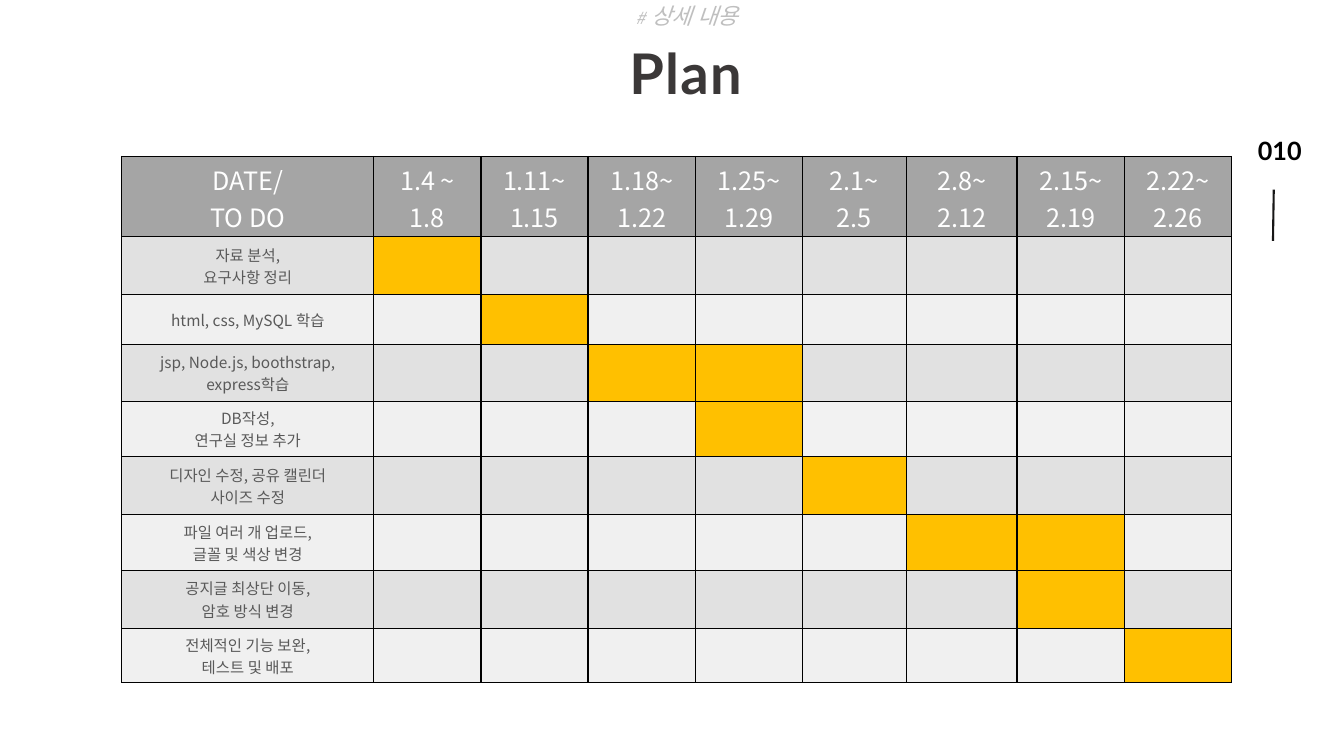
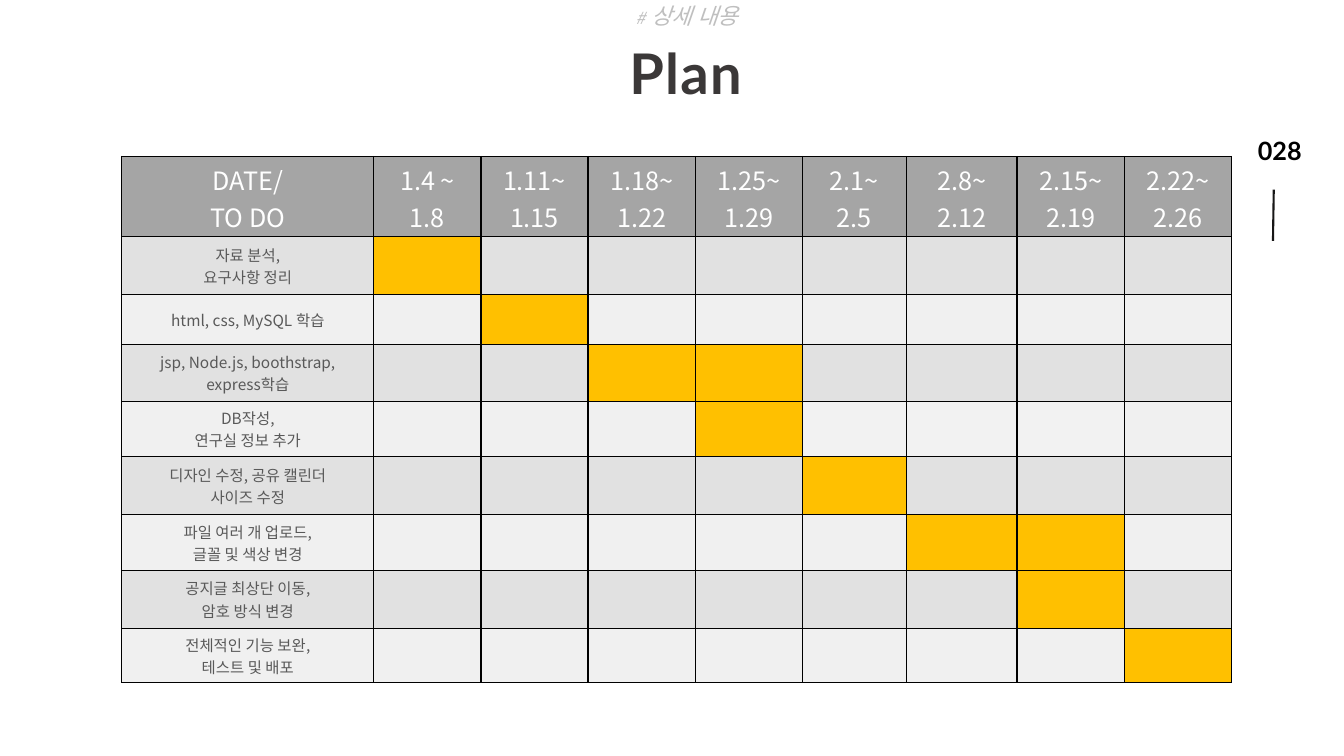
from dataclasses import dataclass

from lxml.etree import SubElement
from pptx import Presentation
from pptx.dml.color import RGBColor
from pptx.enum.shapes import MSO_CONNECTOR as Connector
from pptx.enum.text import MSO_ANCHOR as Anchor, MSO_AUTO_SIZE as AutoSize, PP_ALIGN as Align
from pptx.oxml import parse_xml
from pptx.oxml.ns import nsdecls, qn
from pptx.util import Cm, Pt


@dataclass(frozen=True)
class Theme:
    latin: str = "Lato"
    korean: str = "Noto Sans CJK KR"
    title: str = "3B3838"
    tag: str = "BFBFBF"
    ink: str = "000000"
    rule: str = "181717"
    header: str = "A5A5A5"
    header_text: str = "FFFFFF"
    task_text: str = "595959"
    bands: tuple = ("E1E1E1", "F0F0F0")
    soft: str = "F2F2F2"
    active: str = "FFC000"
    title_size: int = 40
    number_size: int = 18
    header_size: int = 18
    task_size: int = 11
    tag_sizes: tuple = (12, 20, 16)


THEME = Theme()
COLUMNS = [6.35] + [2.7] * 4 + [2.62, 2.79] + [2.7] * 2
ROWS = [2.03, 1.45, 1.27, 1.42, 1.4, 1.45, 1.42, 1.45, 1.37]
HEADERS = [["DATE/", "TO DO"], ["1.4 ~ 1.8"], ["1.11~", "1.15"], ["1.18~", "1.22"],
           ["1.25~", "1.29"], ["2.1~", "2.5"], ["2.8~", "2.12"], ["2.15~", "2.19"],
           ["2.22~", "2.26"]]
# Each task: its lines and the week columns in which it runs
TASKS = [
    (["자료 분석,", "요구사항 정리"], {1}),
    (["html, css, MySQL 학습"], {2}),
    (["jsp, Node.js, boothstrap, express학습"], {3, 4}),
    (["DB작성,", "연구실 정보 추가"], {4}),
    (["디자인 수정, 공유 캘린더", "사이즈 수정"], {5}),
    (["파일 여러 개 업로드,", "글꼴 및 색상 변경"], {6, 7}),
    (["공지글 최상단 이동,", "암호 방식 변경"], {7}),
    (["전체적인 기능 보완,", "테스트 및 배포"], {8}),
]
SOFT_CELLS = {(4, 5), (4, 6), (4, 7)}


def apply(target, formats):
    for name, value in formats.items():
        setattr(target, name, value)


def add_run(paragraph, text, face, size, color, **formats):
    run = paragraph.add_run()
    run.text = text
    apply(run.font, {"name": face, "size": Pt(size), **formats})
    run.font.color.rgb = RGBColor.from_string(color)
    properties = run._r.get_or_add_rPr()
    SubElement(properties, qn("a:ea")).set("typeface", face)
    return properties


def add_text_box(slide, left, top, width, height, **frame_formats):
    box = slide.shapes.add_textbox(Cm(left), Cm(top), Cm(width), Cm(height))
    apply(box.text_frame, {"word_wrap": True, **frame_formats})
    return box.text_frame.paragraphs[0]


def add_page_mark(slide, number):
    paragraph = add_text_box(slide, 31.45, 3.28, 1.63, 1.02,
                             word_wrap=False, auto_size=AutoSize.SHAPE_TO_FIT_TEXT)
    add_run(paragraph, number, THEME.latin, THEME.number_size, THEME.ink, bold=True)
    rule = slide.shapes.add_connector(Connector.STRAIGHT, Cm(32.1), Cm(4.78),
                                      Cm(32.08), Cm(6.07))
    rule.line.color.rgb = RGBColor.from_string(THEME.rule)
    rule.line.width = Pt(1.5)
    SubElement(rule._element.spPr, qn("a:effectLst"))


def add_heading(slide, title, tag):
    paragraph = add_text_box(slide, 6.27, 1.04, 22.02, 2.26)
    apply(paragraph, {"alignment": Align.CENTER, "line_spacing": 0.9})
    properties = add_run(paragraph, title, THEME.latin, THEME.title_size, THEME.title, bold=True)
    properties.set("spc", "100")

    paragraph = add_text_box(slide, 11.81, 0, 11, 1.04)
    apply(paragraph, {"alignment": Align.CENTER, "line_spacing": Pt(18)})
    for text, size in zip(("#", " ", tag), THEME.tag_sizes):
        add_run(paragraph, text, THEME.korean, size, THEME.tag, italic=True)


def style_cell(cell, fill):
    cell.fill.solid()
    cell.fill.fore_color.rgb = RGBColor.from_string(fill)
    properties = cell._tc.get_or_add_tcPr()
    # Borders come before the fill
    for index, side in enumerate(("lnL", "lnR", "lnT", "lnB")):
        properties.insert(index, parse_xml(
            f'<a:{side} {nsdecls("a")} w="{Pt(1)}"><a:solidFill>'
            f'<a:srgbClr val="{THEME.ink}"/></a:solidFill></a:{side}>'))


def write_cell(cell, lines, size, color, anchor):
    cell.vertical_anchor = anchor
    frame = cell.text_frame
    for index, line in enumerate(lines):
        paragraph = frame.add_paragraph() if index else frame.paragraphs[0]
        paragraph.alignment = Align.CENTER
        add_run(paragraph, line, THEME.korean, size, color)


def week_fill(row, column, active):
    if column in active:
        return THEME.active
    if (row, column) in SOFT_CELLS:
        return THEME.soft
    return THEME.bands[(row - 1) % 2]


def add_schedule(slide):
    frame = slide.shapes.add_table(len(ROWS), len(COLUMNS), Cm(3.07), Cm(3.94),
                                   Cm(sum(COLUMNS)), Cm(sum(ROWS)))
    table = frame.table
    apply(table, {"first_row": False, "horz_banding": False})
    for column, width in zip(table.columns, COLUMNS):
        column.width = Cm(width)
    for row, height in zip(table.rows, ROWS):
        row.height = Cm(height)

    # Header row
    for index, lines in enumerate(HEADERS):
        cell = table.cell(0, index)
        style_cell(cell, THEME.header)
        write_cell(cell, lines, THEME.header_size, THEME.header_text, Anchor.TOP)

    # Task rows with their weeks
    for row, (lines, active) in enumerate(TASKS, start=1):
        for column in range(len(COLUMNS)):
            style_cell(table.cell(row, column), week_fill(row, column, active))
        write_cell(table.cell(row, 0), lines, THEME.task_size, THEME.task_text, Anchor.MIDDLE)


def main():
    presentation = Presentation()
    apply(presentation, {"slide_width": Cm(33.87), "slide_height": Cm(19.05)})
    for number in ("010", "028"):
        slide = presentation.slides.add_slide(presentation.slide_layouts[6])
        add_page_mark(slide, number)
        add_heading(slide, "Plan", "상세 내용")
        add_schedule(slide)
    presentation.save("out.pptx")


if __name__ == "__main__":
    main()
